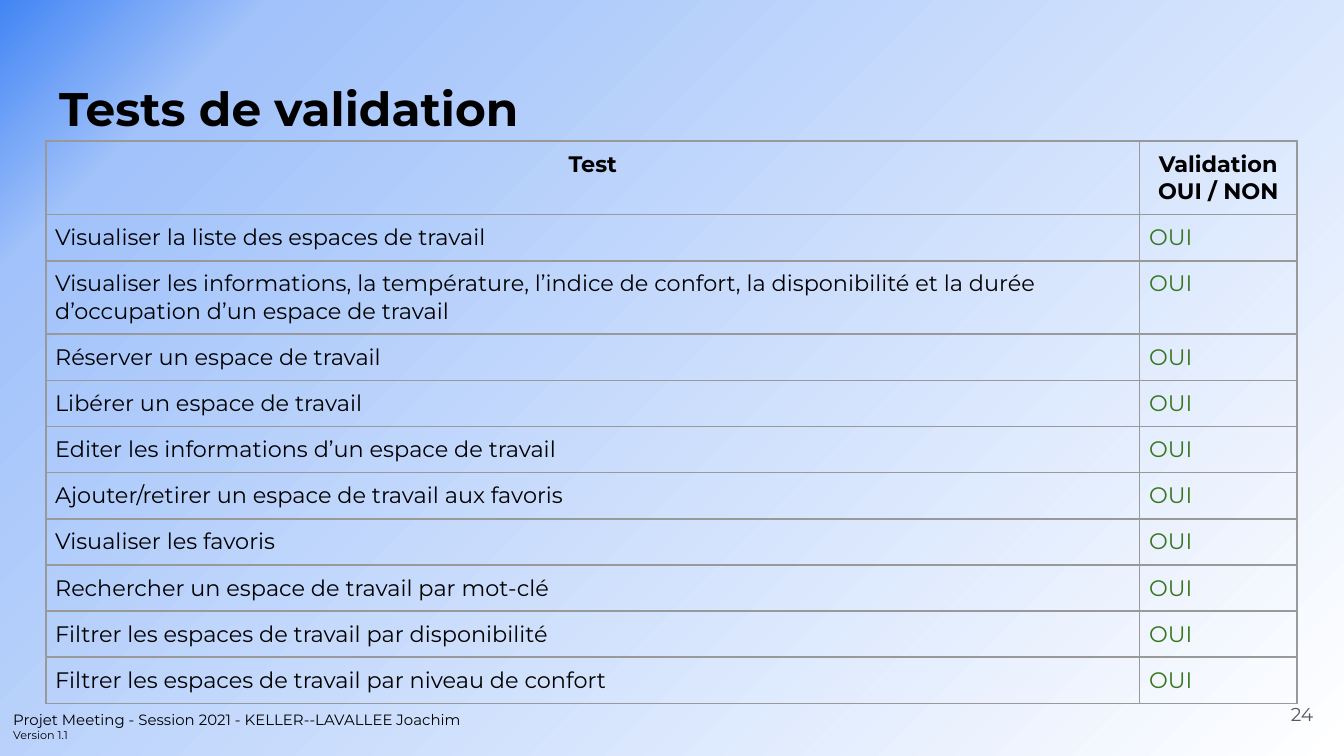
from copy import deepcopy

from lxml import etree
from pptx import Presentation
from pptx.dml.color import RGBColor
from pptx.enum.text import MSO_ANCHOR, MSO_AUTO_SIZE, PP_ALIGN
from pptx.oxml.ns import qn
from pptx.util import Inches, Pt

TOP, MIDDLE = MSO_ANCHOR.TOP, MSO_ANCHOR.MIDDLE
LEFT, CENTER, RIGHT = PP_ALIGN.LEFT, PP_ALIGN.CENTER, PP_ALIGN.RIGHT

FONT = "Montserrat"
BLACK = RGBColor(0x00, 0x00, 0x00)
GREY = RGBColor(0x59, 0x59, 0x59)
GREEN = RGBColor(0x38, 0x76, 0x1D)
BORDER = RGBColor(0x99, 0x99, 0x99)
BACKGROUND_STOPS = [
    (0, RGBColor(0x42, 0x85, 0xF4)),
    (0.13, RGBColor(0xA1, 0xC2, 0xFA)),
    (1, RGBColor(0xFF, 0xFF, 0xFF)),
]

SLIDE_WIDTH = Inches(10)
SLIDE_HEIGHT = SLIDE_WIDTH * 9 // 16
MARGIN = Inches(0.34)
TABLE_TOP = Inches(1.05)
COLUMN_WIDTHS = [Inches(8.14), Inches(1.17)]
LINE_HEIGHT = Inches(0.2)
CELL_INSET = Inches(0.07)
BOX_INSET = Inches(0.1)

HEADERS = ["Test", "Validation\nOUI / NON"]
LONG_TEST = (
    "Visualiser les informations, la température, l’indice de confort, "
    "la disponibilité et la durée d’occupation d’un espace de travail"
)
TESTS = [
    "Visualiser la liste des espaces de travail",
    LONG_TEST,
    "Réserver un espace de travail",
    "Libérer un espace de travail",
    "Editer les informations d’un espace de travail",
    "Ajouter/retirer un espace de travail aux favoris",
    "Visualiser les favoris",
    "Rechercher un espace de travail par mot-clé",
    "Filtrer les espaces de travail par disponibilité",
    "Filtrer les espaces de travail par niveau de confort",
]


def paint_background(slide):
    fill = slide.background.fill
    fill.gradient()
    fill.gradient_angle = 315
    stop_list = slide.element.find(".//" + qn("a:gsLst"))
    stop_list.append(deepcopy(stop_list[-1]))
    for stop, (position, color) in zip(fill.gradient_stops, BACKGROUND_STOPS):
        stop.position = position
        stop.color.rgb = color


def format_paragraph(paragraph, size, color=BLACK, bold=False, alignment=LEFT):
    paragraph.alignment = alignment
    for run in paragraph.runs:
        run.font.name = FONT
        run.font.size = Pt(size)
        run.font.bold = bold
        run.font.color.rgb = color


def fill_frame(shape, text, anchor=TOP):
    """Set the text of a box or placeholder and give it even insets."""
    frame = shape.text_frame
    frame.text = text
    frame.word_wrap = True
    frame.auto_size = MSO_AUTO_SIZE.NONE
    frame.vertical_anchor = anchor
    frame.margin_left = frame.margin_right = BOX_INSET
    frame.margin_top = frame.margin_bottom = BOX_INSET
    return frame.paragraphs


def add_title(slide):
    title = slide.shapes.title
    title.left, title.top = MARGIN, Inches(0.49)
    title.width, title.height = SLIDE_WIDTH - 2 * MARGIN, Inches(0.63)
    paragraph, = fill_frame(title, "Tests de validation")
    format_paragraph(paragraph, 25.2, bold=True)


def add_footer(slide):
    height = Inches(0.44)
    box = slide.shapes.add_textbox(0, SLIDE_HEIGHT - height, Inches(3.57), height)
    project, version = fill_frame(
        box, "Projet Meeting - Session 2021 - KELLER--LAVALLEE Joachim\nVersion 1.1"
    )
    format_paragraph(project, 8)
    format_paragraph(version, 6)


def add_slide_number(slide):
    box = slide.shapes.add_textbox(Inches(9.27), Inches(5.1), Inches(0.6), Inches(0.43))
    paragraph, = fill_frame(box, "24", MIDDLE)
    format_paragraph(paragraph, 10, GREY, alignment=RIGHT)


def add_borders(cell):
    properties = cell._tc.get_or_add_tcPr()
    for side in ("a:lnL", "a:lnR", "a:lnT", "a:lnB"):
        line = etree.SubElement(properties, qn(side), w=str(Pt(1)))
        solid = etree.SubElement(line, qn("a:solidFill"))
        etree.SubElement(solid, qn("a:srgbClr"), val=str(BORDER))


def fill_cell(cell, text, **style):
    cell.text = text
    cell.margin_left = cell.margin_right = CELL_INSET
    cell.margin_top = cell.margin_bottom = CELL_INSET
    add_borders(cell)
    cell.fill.background()
    for paragraph in cell.text_frame.paragraphs:
        format_paragraph(paragraph, 12, **style)


def add_test_table(slide):
    line_counts = [2] + [2 if test == LONG_TEST else 1 for test in TESTS]
    heights = [lines * LINE_HEIGHT + 2 * CELL_INSET for lines in line_counts]
    table = slide.shapes.add_table(
        len(heights), len(COLUMN_WIDTHS), MARGIN, TABLE_TOP,
        sum(COLUMN_WIDTHS), sum(heights),
    ).table
    table.first_row = table.horz_banding = False
    for column, width in zip(table.columns, COLUMN_WIDTHS):
        column.width = width
    for row, height in zip(table.rows, heights):
        row.height = height

    for column, header in enumerate(HEADERS):
        fill_cell(table.cell(0, column), header, bold=True, alignment=CENTER)
    for row, test in enumerate(TESTS, start=1):
        fill_cell(table.cell(row, 0), test)
        fill_cell(table.cell(row, 1), "OUI", color=GREEN)


def main():
    presentation = Presentation()
    presentation.slide_width = SLIDE_WIDTH
    presentation.slide_height = SLIDE_HEIGHT
    title_only = presentation.slide_layouts[5]
    slide = presentation.slides.add_slide(title_only)
    paint_background(slide)
    add_footer(slide)
    add_title(slide)
    add_slide_number(slide)
    add_test_table(slide)
    presentation.save("out.pptx")


if __name__ == "__main__":
    main()
